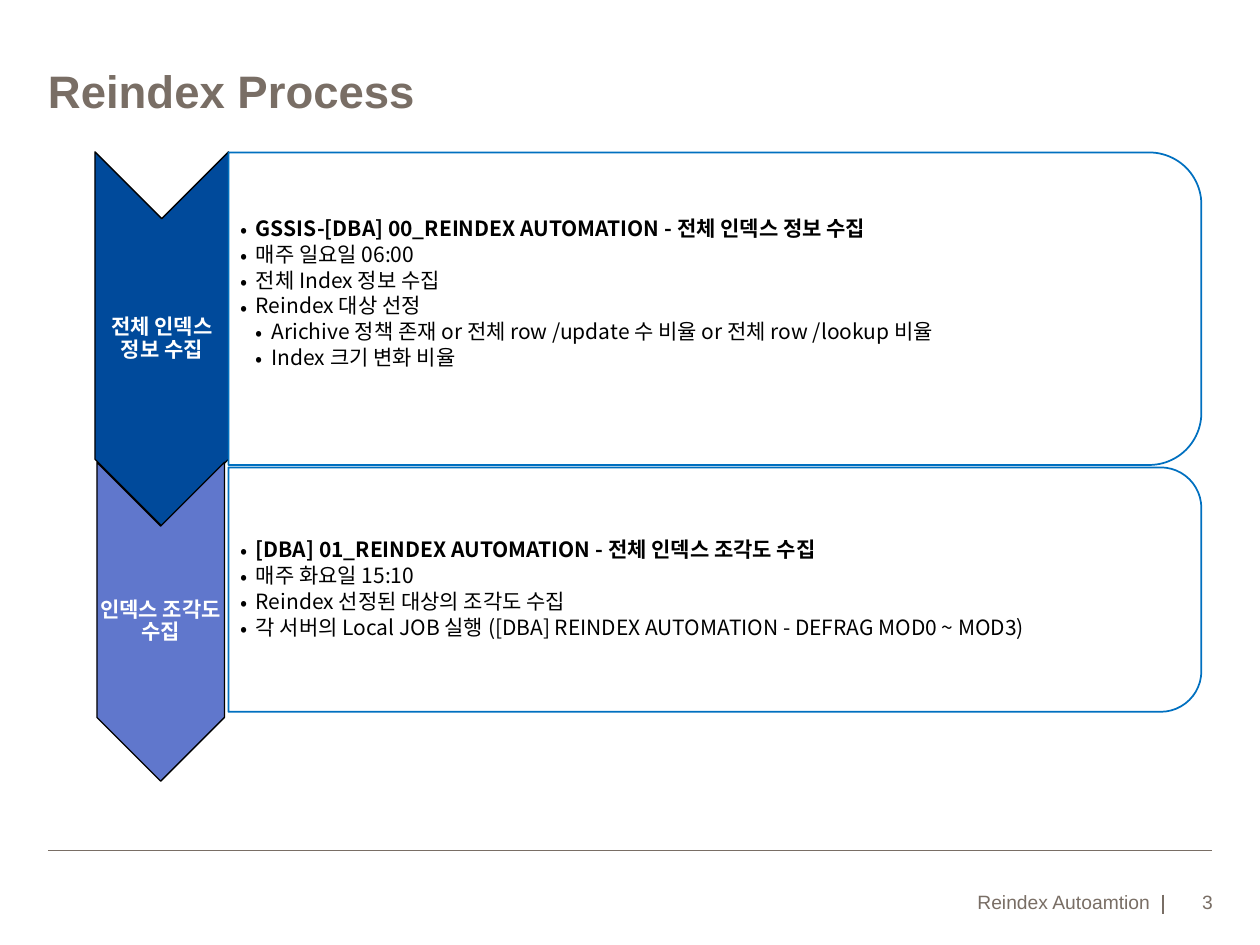
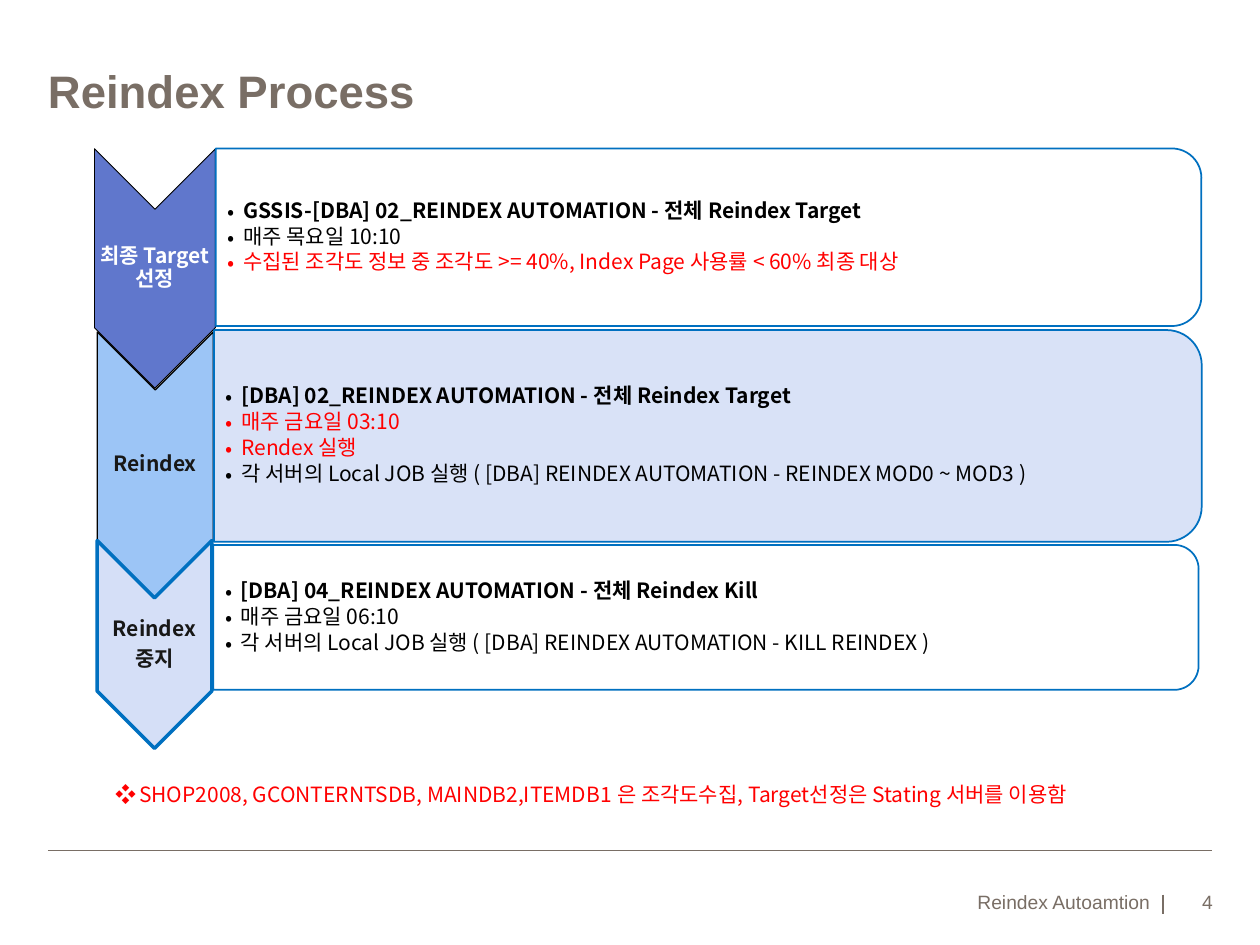
from dataclasses import dataclass

from lxml.etree import SubElement
from pptx import Presentation
from pptx.dml.color import RGBColor
from pptx.enum.shapes import MSO_CONNECTOR, MSO_SHAPE
from pptx.enum.text import MSO_ANCHOR, PP_ALIGN
from pptx.oxml.ns import qn
from pptx.util import Pt

# Shared style
HEAD_FONT, BODY_FONT = "Arial", "Noto Sans CJK KR"
TAUPE, BLACK, WHITE, RED, INK = "796E65", "000000", "FFFFFF", "FF0000", "181817"
NAVY, INDIGO, SKY, PALE, EDGE = "004A9B", "6077CC", "9CC5F6", "D5DFF7", "0070C0"
LEFT, RIGHT = 27.4, 692.6
CORNER_INSET = 0.0488  # text inset of a rounded corner, as a share of panel height


@dataclass
class Box:
    x: float
    y: float
    w: float
    h: float


@dataclass
class Line:
    text: str
    color: str = BLACK
    bold: bool = False
    level: int = 1


@dataclass
class Step:
    label: list[str]
    arrow: Box
    panel: Box
    lines: list[Line]
    fill: str
    label_color: str = WHITE
    edge: str = BLACK
    edge_width: float = 0.75
    panel_fill: str = WHITE
    lift: float = 0  # extra space below the panel text


def rgb(color: str) -> RGBColor:
    return RGBColor.from_string(color)


def add_para(tf, text: str, *, size: float = 12, font: str = BODY_FONT, color: str = BLACK,
             bold: bool = False, align=PP_ALIGN.LEFT, spacing: float | None = None,
             after: float = 0, bullet: str = "", indent: float = 0, hang: float = 0) -> None:
    first = tf.paragraphs[0]
    p = tf.add_paragraph() if first.runs else first
    p.alignment, p.space_after = align, Pt(after)
    if spacing:
        p.line_spacing = spacing
    if bullet:
        pPr = p._p.get_or_add_pPr()
        pPr.set("marL", str(Pt(indent)))
        pPr.set("indent", str(-Pt(hang)))
        SubElement(pPr, qn("a:buFont"), typeface=font)
        SubElement(pPr, qn("a:buChar"), char=bullet)
    r = p.add_run()
    r.text = text
    r.font.size, r.font.name, r.font.bold = Pt(size), font, bold
    r.font.color.rgb = rgb(color)
    SubElement(r._r.get_or_add_rPr(), qn("a:ea"), typeface=font)


def add_box(s, box: Box, anchor=MSO_ANCHOR.TOP, insets=(0, 0, 0, 0)):
    tf = s.shapes.add_textbox(Pt(box.x), Pt(box.y), Pt(box.w), Pt(box.h)).text_frame
    tf.word_wrap, tf.vertical_anchor = True, anchor
    tf.margin_left, tf.margin_top, tf.margin_right, tf.margin_bottom = map(Pt, insets)
    return tf


def add_rule(s, x1: float, y1: float, x2: float, y2: float) -> None:
    c = s.shapes.add_connector(MSO_CONNECTOR.STRAIGHT, Pt(x1), Pt(y1), Pt(x2), Pt(y2))
    c.line.color.rgb, c.line.width = rgb(TAUPE), Pt(1)
    SubElement(c._element.spPr, qn("a:effectLst"))


def add_turned(s, kind, box: Box, fill: str, edge: str, width: float):
    """Draw a shape turned by 90 degrees so that it covers the box."""
    cx, cy = box.x + box.w / 2, box.y + box.h / 2
    sp = s.shapes.add_shape(kind, Pt(cx - box.h / 2), Pt(cy - box.w / 2), Pt(box.h), Pt(box.w))
    sp.rotation, sp.shadow.inherit = 90, False
    sp.fill.solid()
    sp.fill.fore_color.rgb = rgb(fill)
    sp.line.color.rgb, sp.line.width = rgb(edge), Pt(width)
    return sp


def add_step(s, step: Step) -> None:
    # Arrow, with its label between notch and point
    a = step.arrow
    add_turned(s, MSO_SHAPE.CHEVRON, a, step.fill, step.edge, step.edge_width)
    tf = add_box(s, Box(a.x, a.y + a.w / 2, a.w, a.h - a.w), MSO_ANCHOR.MIDDLE, (0.7,) * 4)
    for text in step.label:
        add_para(tf, text, color=step.label_color, bold=True, align=PP_ALIGN.CENTER,
                 spacing=0.9, after=4.2)

    # Panel, slightly transparent, with its bullets
    b = step.panel
    sp = add_turned(s, MSO_SHAPE.ROUND_2_SAME_RECTANGLE, b, step.panel_fill, EDGE, 1)
    clr = sp._element.spPr.find(qn("a:solidFill"))[0]
    SubElement(clr, qn("a:alpha"), val="90000")
    d = b.h * CORNER_INSET
    tf = add_box(s, Box(b.x, b.y + d, b.w - d, b.h - 2 * d), MSO_ANCHOR.MIDDLE,
                 (6.7, 0.7, 0.7, 0.7 + step.lift))
    for ln in step.lines:
        add_para(tf, ln.text, color=ln.color, bold=ln.bold, spacing=0.9, after=1.8,
                 bullet="•", indent=9 * ln.level, hang=9)


def add_page(prs, number: int, steps: list[Step]):
    s = prs.slides.add_slide(prs.slide_layouts[6])
    add_rule(s, LEFT, 486, RIGHT, 486)
    add_rule(s, 664.6, 511.2, 664.6, 522)
    add_para(add_box(s, Box(LEFT, 36, RIGHT - LEFT, 72.7)), "Reindex Process",
             size=26, font=HEAD_FONT, color=TAUPE, bold=True)
    for text, x, w in (("Reindex Autoamtion", 393.8, 263.5), (str(number), 664.6, 28.4)):
        tf = add_box(s, Box(x, 502.2, w, 19.8), MSO_ANCHOR.BOTTOM, (0, 3.6, 0, 0))
        add_para(tf, text, size=11, font=HEAD_FONT, color=TAUPE, align=PP_ALIGN.RIGHT)
    for step in steps:
        add_step(s, step)
    return s


# Content
COLLECT = [
    Step(["전체 인덱스 정보 수집"], Box(54.3, 86.8, 76.3, 213.8), Box(130.5, 87.1, 556, 178.6), [
        Line("GSSIS-[DBA] 00_REINDEX AUTOMATION - 전체 인덱스 정보 수집", bold=True),
        Line("매주 일요일 06:00"),
        Line("전체 Index 정보 수집"),
        Line("Reindex 대상 선정"),
        Line("Arichive 정책 존재 or 전체 row /update 수 비율 or 전체 row /lookup 비율", level=2),
        Line("Index 크기 변화 비율", level=2),
    ], NAVY, lift=16.5),
    Step(["인덱스 조각도 수집"], Box(55.4, 264.2, 72.9, 182.2), Box(130.5, 267.1, 556, 139.7), [
        Line("[DBA] 01_REINDEX AUTOMATION - 전체 인덱스 조각도 수집", bold=True),
        Line("매주 화요일 15:10"),
        Line("Reindex 선정된 대상의 조각도 수집"),
        Line("각 서버의 Local JOB 실행 ([DBA] REINDEX AUTOMATION - DEFRAG MOD0 ~ MOD3)"),
    ], INDIGO),
]
EXECUTE = [
    Step(["최종 Target 선정"], Box(54, 85, 69.1, 136.8), Box(123.3, 84.8, 563.2, 101.5), [
        Line("GSSIS-[DBA] 02_REINDEX AUTOMATION - 전체 Reindex Target", bold=True),
        Line("매주 목요일 10:10"),
        Line("수집된 조각도 정보 중 조각도 >= 40%, Index Page 사용률 < 60% 최종 대상", RED),
    ], INDIGO, edge_width=0.5),
    Step(["Reindex"], Box(55.6, 189.7, 66.2, 151.9), Box(122.3, 188.6, 564.4, 121), [
        Line("[DBA] 02_REINDEX AUTOMATION - 전체 Reindex Target", bold=True),
        Line("매주 금요일 03:10", RED),
        Line("Rendex 실행", RED),
        Line("각 서버의 Local JOB 실행 ( [DBA] REINDEX AUTOMATION - REINDEX MOD0 ~ MOD3 )"),
    ], SKY, label_color=INK, panel_fill=PALE),
    Step(["Reindex", "중지"], Box(55.5, 308.9, 65.5, 118.8), Box(121.9, 311.4, 563, 82.8), [
        Line("[DBA] 04_REINDEX AUTOMATION - 전체 Reindex Kill", bold=True),
        Line("매주 금요일 06:10"),
        Line("각 서버의 Local JOB 실행 ( [DBA] REINDEX AUTOMATION - KILL REINDEX )"),
    ], PALE, label_color=INK, edge=EDGE, edge_width=2),
]

prs = Presentation()
prs.slide_width, prs.slide_height = Pt(720), Pt(540)
add_page(prs, 3, COLLECT)
s = add_page(prs, 4, EXECUTE)

# Closing remark
tf = add_box(s, Box(59, 442.8, 620, 21.6), insets=(7.2, 3.6, 7.2, 3.6))
add_para(tf, "SHOP2008, GCONTERNTSDB, MAINDB2,ITEMDB1 은 조각도수집, "
         "Target선정은 Stating 서버를 이용함", color=RED, bullet="❖", indent=13.5, hang=13.5)

prs.save("out.pptx")
